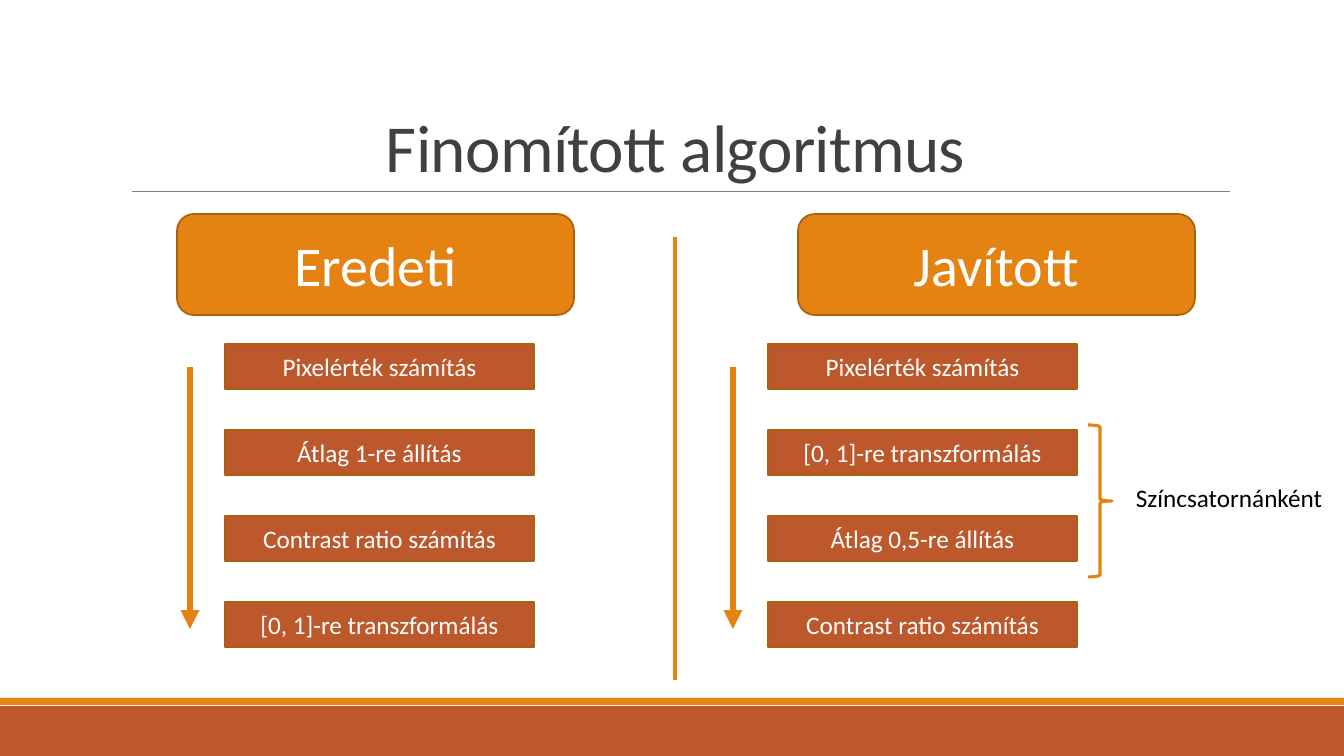
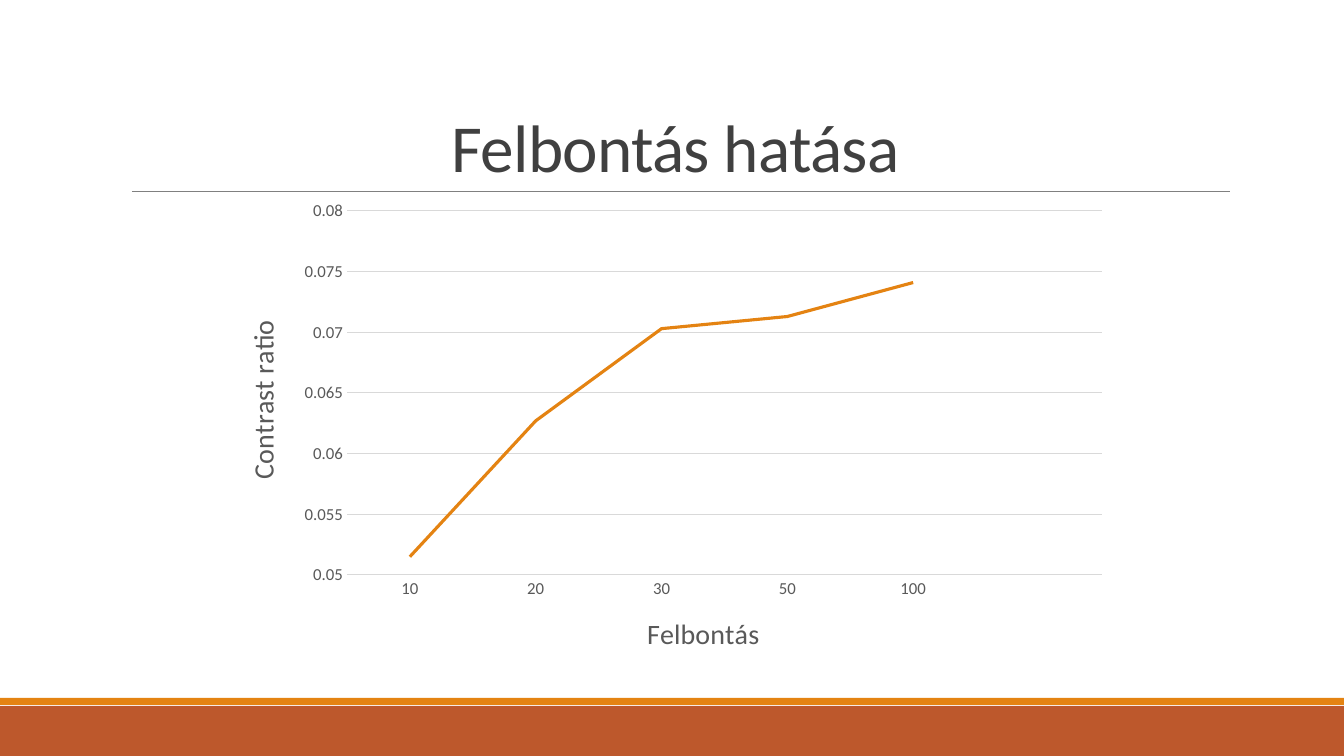
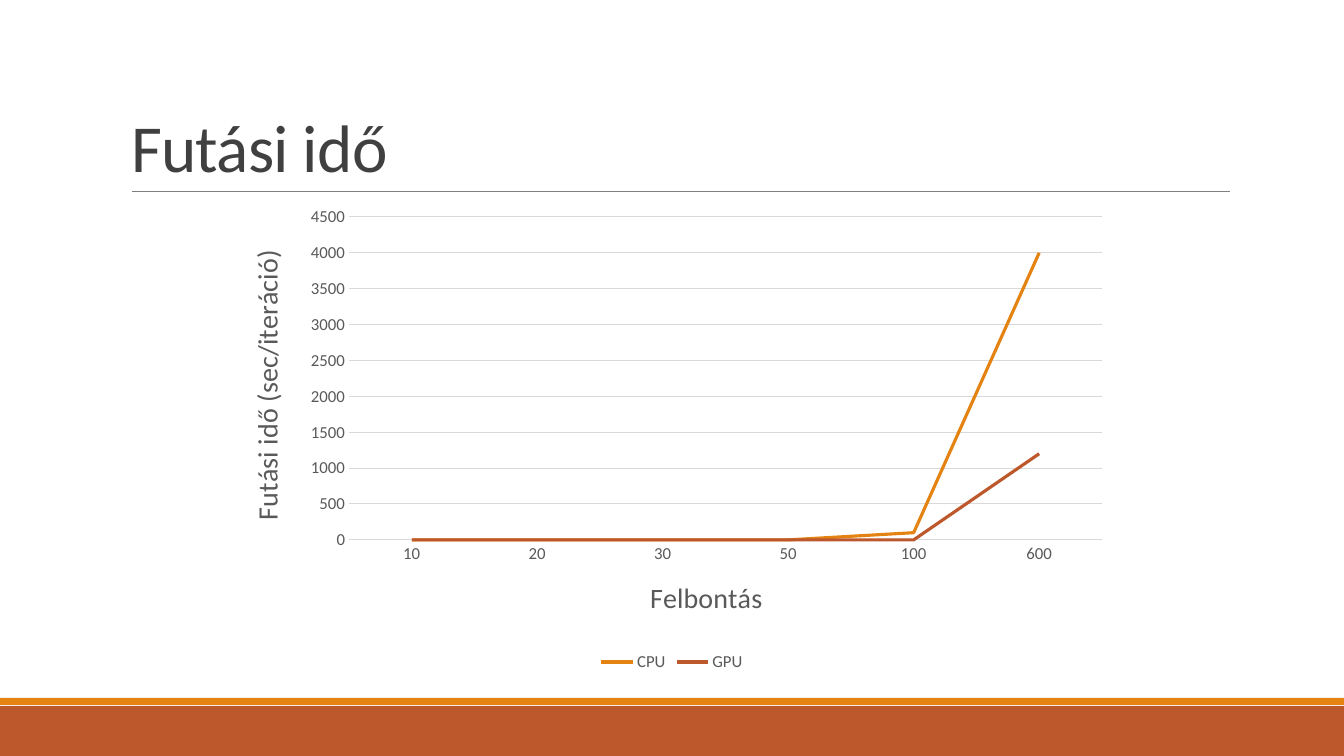
from lxml import etree
from pptx import Presentation
from pptx import util as u
from pptx.chart import data
from pptx.dml import color
from pptx.enum import chart as charts, shapes, text
from pptx.oxml import ns

PX = 9071
FONT = "Calibri"
ORANGE, RUST, BROWN = "E48312", "BD582C", "A9610D"
DARK, GRAY, GRID, WHITE = "404040", "595959", "D9D9D9", "FFFFFF"
rgb = color.RGBColor.from_string


def add_block(slide, kind, left, top, width, height, fill, label="", size=18):
    block = slide.shapes.add_shape(kind, left * PX, top * PX, width * PX, height * PX)
    block.shadow.inherit = False
    block.fill.solid()
    block.fill.fore_color.rgb = rgb(fill)
    if not label:
        block.line.fill.background()
        return block
    block.line.color.rgb = rgb(BROWN)
    block.line.width = u.Pt(1.25)
    block.text_frame.vertical_anchor = text.MSO_ANCHOR.MIDDLE
    paragraph = block.text_frame.paragraphs[0]
    paragraph.alignment = text.PP_ALIGN.CENTER
    run = paragraph.add_run()
    run.text = label
    run.font.name, run.font.size = FONT, u.Pt(size)
    run.font.color.rgb = rgb(WHITE)
    return block


def add_rule(slide, x1, y1, x2, y2, hue, weight, arrow=False):
    rule = slide.shapes.add_connector(
        shapes.MSO_CONNECTOR.STRAIGHT, x1 * PX, y1 * PX, x2 * PX, y2 * PX)
    rule.line.color.rgb = rgb(hue)
    rule.line.width = u.Pt(weight)
    if arrow:
        etree.SubElement(rule.line._get_or_add_ln(), ns.qn("a:tailEnd"), type="triangle")
    etree.SubElement(rule._element.spPr, ns.qn("a:effectLst"))
    return rule


prs = Presentation()
prs.slide_width, prs.slide_height = 1344 * PX, 756 * PX
layout = prs.slide_layouts[5]
for footer in list(layout.placeholders)[1:]:
    footer._element.getparent().remove(footer._element)

headings = [
    ("Finomított algoritmus", text.PP_ALIGN.CENTER),
    ("Felbontás hatása", text.PP_ALIGN.CENTER),
    ("Futási idő", text.PP_ALIGN.LEFT),
]
for heading, alignment in headings:
    title = prs.slides.add_slide(layout).shapes.title
    title.left, title.top, title.width, title.height = 121 * PX, 31 * PX, 1109 * PX, 160 * PX
    title.text_frame.auto_size = text.MSO_AUTO_SIZE.NONE
    title.text_frame.vertical_anchor = text.MSO_ANCHOR.BOTTOM
    paragraph = title.text_frame.paragraphs[0]
    paragraph.alignment = alignment
    paragraph.line_spacing = 0.85
    run = paragraph.add_run()
    run.text = heading
    run.font.name, run.font.size = FONT, u.Pt(48)
    run.font.color.rgb = rgb(DARK)
    run.font._element.set("spc", "-50")

algorithm, resolution, runtime = prs.slides

RECT = shapes.MSO_SHAPE.RECTANGLE
frame = [
    add_block(algorithm, RECT, 0, 706, 1344, 50, RUST),
    add_block(algorithm, RECT, 0, 698, 1344, 7, ORANGE),
    add_rule(algorithm, 132, 191, 1230, 191, "808080", 0.5),
]
for part in frame:
    layout.shapes._spTree.append(part._element)

add_rule(algorithm, 675, 237, 675, 680, ORANGE, 2.25)
versions = [
    ("Eredeti", 177, 225, ["Pixelérték számítás", "Átlag 1-re állítás",
                           "Contrast ratio számítás", "[0, 1]-re transzformálás"]),
    ("Javított", 798, 768, ["Pixelérték számítás", "[0, 1]-re transzformálás",
                            "Átlag 0,5-re állítás", "Contrast ratio számítás"]),
]
for version, version_left, step_left, steps in versions:
    add_block(algorithm, shapes.MSO_SHAPE.ROUNDED_RECTANGLE,
              version_left, 214, 397, 101, ORANGE, version, 40)
    for row, step in enumerate(steps):
        add_block(algorithm, RECT, step_left, 344 + 86 * row, 309, 45, RUST, step)
    add_rule(algorithm, step_left - 35, 367, step_left - 35, 629, ORANGE, 4.5, True)

brace = algorithm.shapes.add_shape(
    shapes.MSO_SHAPE.RIGHT_BRACE, 1088 * PX, 425 * PX, 24 * PX, 152 * PX)
brace.shadow.inherit = False
brace.fill.background()
brace.line.color.rgb = rgb(ORANGE)
brace.line.width = u.Pt(2.25)

channels = algorithm.shapes.add_textbox(1126 * PX, 477 * PX, 209 * PX, 40 * PX)
channels.text_frame.word_wrap = False
run = channels.text_frame.paragraphs[0].add_run()
run.text = "Színcsatornánként"
run.font.name, run.font.size = FONT, u.Pt(18)
run.font.color.rgb = rgb("000000")

plots = [
    dict(slide=resolution, top=192, height=484, scale=(0.05, 0.08, 0.005),
         categories=["10", "20", "30", "50", "100", ""],
         series=[("Series 1", [0.0515, 0.0627, 0.0703, 0.0713, 0.0741, None], ORANGE)],
         measure="Contrast ratio", plot=(347, 211, 755, 364),
         category_title=(642, 609), measure_title=(238, 315), legend=False),
    dict(slide=runtime, top=197, height=479, scale=(0, 4500, 500),
         categories=["10", "20", "30", "50", "100", "600"],
         series=[("CPU", [0, 0, 0, 0, 100, 4000], ORANGE),
                 ("GPU", [0, 0, 0, 0, 0, 1200], RUST)],
         measure="Futási idő (sec/iteráció)", plot=(349, 217, 753, 323),
         category_title=(645, 573), measure_title=(242, 245), legend=True),
]
for plot in plots:
    chart_data = data.CategoryChartData()
    chart_data.categories = plot["categories"]
    for name, values, hue in plot["series"]:
        chart_data.add_series(name, values)
    chart = plot["slide"].shapes.add_chart(
        charts.XL_CHART_TYPE.LINE, 224 * PX, plot["top"] * PX,
        896 * PX, plot["height"] * PX, chart_data).chart
    chart.has_title = False
    chart.font.name, chart.font.size = FONT, u.Pt(12)
    chart.font.color.rgb = rgb(GRAY)
    chart.plots[0].vary_by_categories = False
    for line, (name, values, hue) in zip(chart.plots[0].series, plot["series"]):
        line.smooth = False
        line.marker.style = charts.XL_MARKER_STYLE.NONE
        line.format.line.color.rgb = rgb(hue)
        line.format.line.width = u.Pt(2.25)
    chart.has_legend = plot["legend"]
    if plot["legend"]:
        chart.legend.position = charts.XL_LEGEND_POSITION.BOTTOM
        chart.legend.include_in_layout = False

    resolutions, measures = chart.category_axis, chart.value_axis
    measures.minimum_scale, measures.maximum_scale, measures.major_unit = plot["scale"]
    measures.tick_labels.number_format = "General"
    measures.tick_labels.number_format_is_linked = False
    measures.format.line.fill.background()
    for line in (resolutions.format.line, measures.major_gridlines.format.line):
        line.color.rgb = rgb(GRID)
        line.width = u.Pt(0.75)
    for axis, caption in ((resolutions, "Felbontás"), (measures, plot["measure"])):
        axis.major_tick_mark = axis.minor_tick_mark = charts.XL_TICK_MARK.NONE
        run = axis.axis_title.text_frame.paragraphs[0].add_run()
        run.text = caption
        run.font.name, run.font.size, run.font.bold = FONT, u.Pt(20), False
        run.font.color.rgb = rgb(GRAY)
    turned = measures.axis_title.text_frame._txBody.find(ns.qn("a:bodyPr"))
    turned.set("rot", "-5400000")
    turned.set("vert", "horz")

    placements = [
        (chart._chartSpace.chart.plotArea, 0, plot["plot"]),
        (resolutions.axis_title._element, 1, plot["category_title"]),
        (measures.axis_title._element, 1, plot["measure_title"]),
    ]
    for element, position, (left, top, *size) in placements:
        for automatic in element.findall(ns.qn("c:layout")):
            element.remove(automatic)
        placement = etree.Element(ns.qn("c:layout"))
        manual = etree.SubElement(placement, ns.qn("c:manualLayout"))
        settings = [("xMode", "edge"), ("yMode", "edge"),
                    ("x", (left - 224) / 896), ("y", (top - plot["top"]) / plot["height"])]
        if size:
            settings.insert(0, ("layoutTarget", "inner"))
            settings += [("w", size[0] / 896), ("h", size[1] / plot["height"])]
        for setting, value in settings:
            etree.SubElement(manual, ns.qn("c:" + setting), val=str(value))
        element.insert(position, placement)

prs.save("out.pptx")
